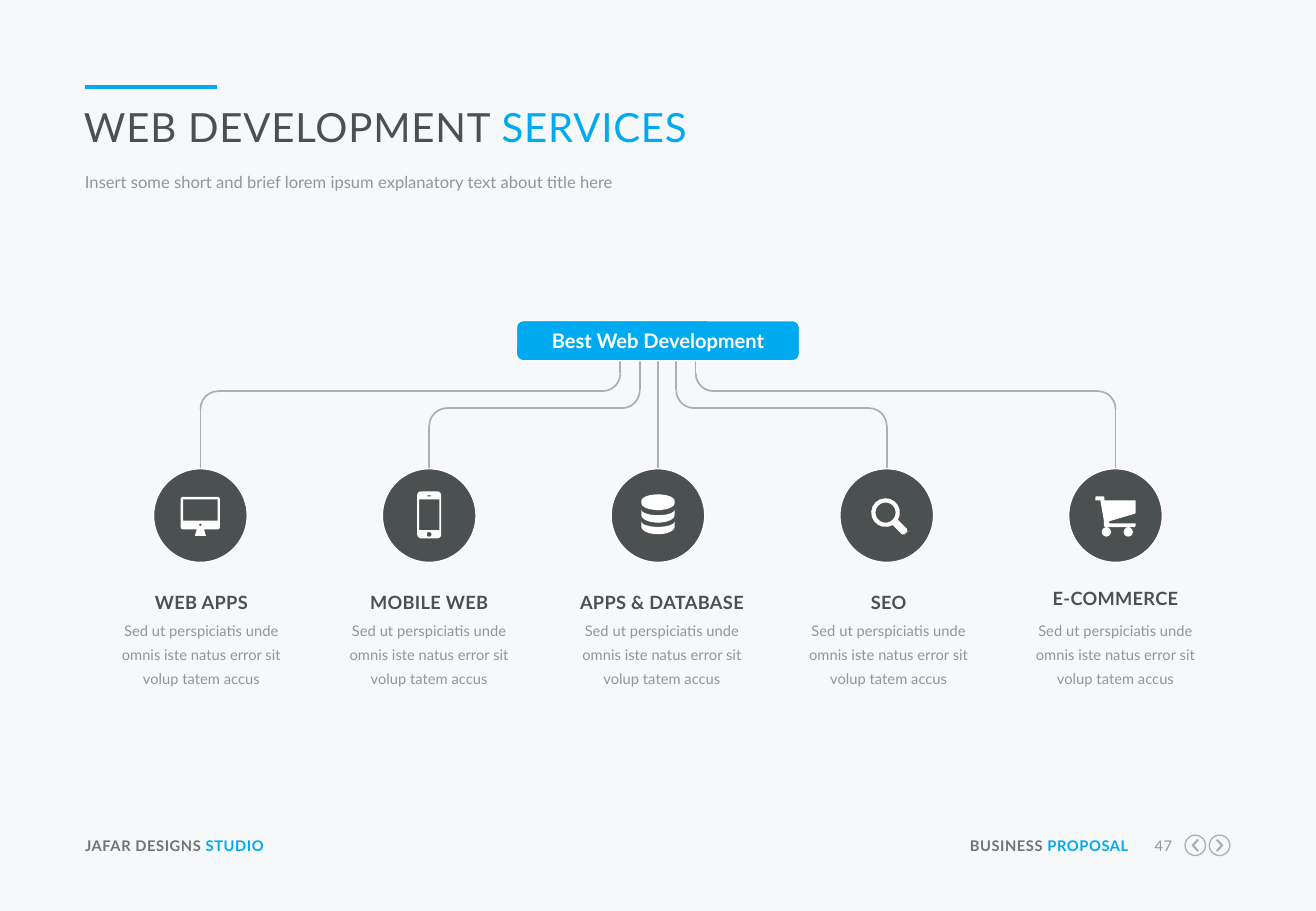
"""Build the web development services slide on a grid of 130 columns by 90 rows."""
from dataclasses import dataclass
from math import cos, radians, sin

from lxml import etree
from pptx import Presentation
from pptx.dml.color import RGBColor
from pptx.enum.shapes import MSO_CONNECTOR, MSO_SHAPE
from pptx.enum.text import MSO_ANCHOR, PP_ALIGN
from pptx.oxml.ns import qn
from pptx.shapes.autoshape import Shape
from pptx.slide import Slide
from pptx.text.text import TextFrame
from pptx.util import Emu, Pt

Point = tuple[float, float]
Contour = list[Point]

STRAIGHT = MSO_CONNECTOR.STRAIGHT
ARC, ELLIPSE, ROUNDED = MSO_SHAPE.ARC, MSO_SHAPE.OVAL, MSO_SHAPE.ROUNDED_RECTANGLE
LEFT, CENTER, RIGHT = PP_ALIGN.LEFT, PP_ALIGN.CENTER, PP_ALIGN.RIGHT
MIDDLE = MSO_ANCHOR.MIDDLE

COLUMNS, ROWS, CELL = 130, 90, 76200
COLORS = {
    "background": "F6F8FA", "accent": "00AAF0", "dark": "4B5050", "footer": "6E7378",
    "muted": "91969B", "line": "AAAFB4", "white": "FFFFFF",
}
MIDDLE_COLUMN, SERVICE_STEP = 65, 22.6
BUTTON_TOP, BUTTON_WIDTH, BUTTON_HEIGHT = 31.68, 27.96, 3.96
BRANCH_TOP = BUTTON_TOP + BUTTON_HEIGHT
DISC_TOP, DISC_SIZE = 46.32, 9.24
BEND = 1.75
TEXT_WIDTH = 18.84
NAVIGATION_ROW = 83.52
DESCRIPTION = "Sed ut perspiciatis unde omnis iste natus error sit volup tatem accus"


@dataclass
class TextStyle:
    size: float
    color: str
    bold: bool = False
    tracking: float = 0
    align: PP_ALIGN = LEFT
    line: float | None = None


@dataclass
class Service:
    title: str
    icon: list[Contour]
    text_shift: float = 0
    title_row: float = 58.08


@dataclass
class Branch:
    side: int
    stub: float
    bus_row: float
    steps: int


def cells(value: float) -> Emu:
    return Emu(round(value * CELL))


def color(name: str) -> RGBColor:
    return RGBColor.from_string(COLORS[name])


def arc(x: float, y: float, radius_x: float, radius_y: float,
        start: int = 0, end: int = 360, turn: int = 20) -> Contour:
    steps = round(abs(end - start) / turn)
    angles = [radians(start + (end - start) * step / steps) for step in range(steps + 1)]
    return [(x + radius_x * cos(angle), y + radius_y * sin(angle)) for angle in angles]


def dot(x: float, y: float, radius: float) -> Contour:
    return arc(x, y, radius, radius, turn=30)


def box(x: float, y: float, width: float, height: float) -> Contour:
    return [(x, y), (x + width, y), (x + width, y + height), (x, y + height)]


def rounded(x: float, y: float, width: float, height: float, radius: float) -> Contour:
    corners = box(x + radius, y + radius, width - 2 * radius, height - 2 * radius)
    return [point for turn, corner in enumerate(corners)
            for point in arc(*corner, radius, radius, 90 * turn - 180, 90 * turn - 90, 30)]


def band(top: float, top_bulge: float, bottom: float, bottom_bulge: float) -> Contour:
    return arc(0, bottom, 1.65, bottom_bulge, 0, 180) + arc(0, top, 1.65, top_bulge, 180, 0)


MONITOR = [
    rounded(-1.95, -1.85, 3.87, 3.2, 0.2), box(-1.7, -1.6, 3.4, 2.1),
    dot(0, 0.9, 0.12), [(-0.35, 1.35), (0.35, 1.35), (0.55, 2), (-0.55, 2)],
]
PHONE = [
    rounded(-1.19, -2.4, 2.38, 4.66, 0.4), box(-1, -1.6, 2, 3.05),
    dot(0, 1.86, 0.24), box(-0.2, -2, 0.4, 0.1),
]
DATABASE = [band(-1.45, -0.65, -1.22, 0.68)] + [
    band(-0.58 + shift, 0.55, -0.05 + shift, 0.75) for shift in (0, 1.15)]
MAGNIFIER = [
    arc(-0.12, -0.3, 1.42, 1.42, 60, 390) + [(2, 1.3), (2.05, 1.55), (1.75, 1.85), (1.5, 1.86)],
    arc(-0.12, -0.3, 1, 1),
]
CART = [
    [(-0.54, 0.54), (1.9, -0.18), (1.98, -0.25), (1.98, -1.5), (-1.1, -1.5), (-1.1, -1.8),
     (-1.2, -1.9), (-1.95, -1.9), (-1.98, -1.75), (-1.98, -1.5), (-1.5, -1.5), (-1.14, 0.54),
     (-1.14, 1.05), (-1, 1.14), (1.9, 1.14), (1.98, 1), (1.98, 0.78), (-0.54, 0.78), (-0.7, 0.66)],
    dot(-0.9, 1.62, 0.46), dot(1.26, 1.62, 0.46),
]
CHEVRON = [(-0.36, -0.5), (-0.2, -0.64), (0.38, 0), (-0.2, 0.64), (-0.36, 0.5), (0.1, 0)]

SERVICES = [
    Service("WEB APPS", MONITOR, 0.1),
    Service("MOBILE WEB", PHONE),
    Service("APPS & DATABASE", DATABASE, 0.4),
    Service("SEO", MAGNIFIER, 0.2),
    Service("E-COMMERCE", CART, 0, 57.6),
]
BRANCHES = [Branch(side, stub, row, steps) for side in (-1, 1)
            for stub, row, steps in ((1.8, 40.32, 1), (3.72, 38.64, 2))]

TITLE = TextStyle(23.8, "dark", tracking=0.5)
SUBTITLE = TextStyle(9.8, "muted", line=13)
BUTTON = TextStyle(11.9, "white", True, align=CENTER)
HEADING = TextStyle(10.8, "dark", True, 0.2, CENTER, 15.2)
BODY = TextStyle(8.7, "muted", align=CENTER, line=14.1)
FOOTER_LEFT = TextStyle(8.7, "footer", True, 0.3)
FOOTER_RIGHT = TextStyle(8.7, "footer", True, 0.3, RIGHT)
PAGE_NUMBER = TextStyle(8.7, "muted", False, 0.3, RIGHT)


def write(frame: TextFrame, style: TextStyle, text: str, accent: str = "") -> None:
    frame.word_wrap = True
    frame.margin_left = frame.margin_right = frame.margin_top = frame.margin_bottom = 0
    paragraph = frame.paragraphs[0]
    paragraph.text = text
    paragraph.alignment = style.align
    if style.line:
        paragraph.line_spacing = Pt(style.line)
    if accent:
        paragraph.add_run().text = accent
    for run, name in zip(paragraph.runs, (style.color, "accent")):
        run.font.name, run.font.size, run.font.bold = "Lato", Pt(style.size), style.bold
        run.font.color.rgb = color(name)
        run._r.get_or_add_rPr().set("spc", str(round(style.tracking * 100)))


def add_text(slide: Slide, x: float, y: float, width: float, height: float,
             style: TextStyle, text: str, accent: str = "") -> None:
    shape = slide.shapes.add_textbox(cells(x), cells(y), cells(width), cells(height))
    write(shape.text_frame, style, text, accent)


def add_line(slide: Slide, start: Point, end: Point, name: str = "line", width: float = 1) -> None:
    connector = slide.shapes.add_connector(STRAIGHT, *map(cells, start + end))
    connector.line.color.rgb, connector.line.width = color(name), Pt(width)
    etree.SubElement(connector._element.spPr, qn("a:effectLst"))


def fill_shape(shape: Shape, name: str) -> None:
    shape.shadow.inherit = False
    shape.fill.solid()
    shape.fill.fore_color.rgb = color(name)


def add_preset(slide: Slide, kind: MSO_SHAPE, x: float, y: float, width: float, height: float,
               fill: str) -> Shape:
    shape = slide.shapes.add_shape(kind, cells(x), cells(y), cells(width), cells(height))
    fill_shape(shape, fill)
    shape.line.color.rgb, shape.line.width = color("white"), Pt(0.75)
    return shape


def add_bend(slide: Slide, x: float, y: float, rotation: int) -> None:
    bend = add_preset(slide, ARC, x - BEND, y - BEND, 2 * BEND, 2 * BEND, "line")
    bend.fill.background()
    bend.line.color.rgb, bend.line.width = color("line"), Pt(1)
    bend.rotation = rotation


def add_icon(slide: Slide, x: float, y: float, contours: list[Contour], fill: str) -> None:
    outlines = [[(cells(x + dx), cells(y + dy)) for dx, dy in contour] for contour in contours]
    builder = slide.shapes.build_freeform(*outlines[0][0], scale=1.0)
    for index, outline in enumerate(outlines):
        if index:
            builder.move_to(*outline[0])
        builder.add_line_segments(outline[1:], close=True)
    shape = builder.convert_to_shape()
    fill_shape(shape, fill)
    shape.line.fill.background()


def add_branch(slide: Slide, branch: Branch) -> None:
    side, row = branch.side, branch.bus_row
    stub = MIDDLE_COLUMN + side * branch.stub
    drop = MIDDLE_COLUMN + side * branch.steps * SERVICE_STEP
    bus_start, bus_end = stub + side * BEND, drop - side * BEND
    add_line(slide, (stub, BRANCH_TOP), (stub, row - BEND))
    add_line(slide, (bus_start, row), (bus_end, row))
    add_line(slide, (drop, row + BEND), (drop, DISC_TOP))
    add_bend(slide, bus_start, row - BEND, 180 if side > 0 else 90)
    add_bend(slide, bus_end, row + BEND, 0 if side > 0 else 270)


def add_service(slide: Slide, index: int, service: Service) -> None:
    x = MIDDLE_COLUMN + (index - 2) * SERVICE_STEP
    radius = DISC_SIZE / 2
    add_preset(slide, ELLIPSE, x - radius, DISC_TOP, DISC_SIZE, DISC_SIZE, "dark")
    add_icon(slide, x, DISC_TOP + radius, service.icon, "white")
    left = x + service.text_shift - TEXT_WIDTH / 2
    add_text(slide, left, service.title_row, TEXT_WIDTH, 2.52, HEADING, service.title)
    add_text(slide, left, 60.84, TEXT_WIDTH, 7.08, BODY, DESCRIPTION)


def add_frame(slide: Slide) -> None:
    add_line(slide, (8.4, 8.6), (21.44, 8.6), "accent", 2.25)
    add_text(slide, 8.3, 10.08, 113, 4.92, TITLE, "WEB DEVELOPMENT ", "SERVICES")
    add_text(slide, 8.4, 16.8, 113, 2.52, SUBTITLE,
             "Insert some short and brief lorem ipsum explanatory text about title here")
    add_text(slide, 8.4, 82.68, 25.32, 1.8, FOOTER_LEFT, "JAFAR DESIGNS ", "STUDIO")
    add_text(slide, 95.04, 82.68, 16.44, 1.8, FOOTER_RIGHT, "BUSINESS ", "PROPOSAL")
    add_text(slide, 112.8, 82.68, 3, 1.8, PAGE_NUMBER, "47")
    for x, direction in ((118.08, -1), (120.48, 1)):
        chevron = [(direction * dx, dy) for dx, dy in CHEVRON]
        rings = [arc(0, 0, radius, radius) for radius in (1.08, 0.95)]
        add_icon(slide, x, NAVIGATION_ROW, rings + [chevron], "line")


def main() -> None:
    presentation = Presentation()
    presentation.slide_width, presentation.slide_height = cells(COLUMNS), cells(ROWS)
    slide = presentation.slides.add_slide(presentation.slide_layouts[6])
    slide.background.fill.solid()
    slide.background.fill.fore_color.rgb = color("background")
    add_frame(slide)
    add_line(slide, (MIDDLE_COLUMN, BRANCH_TOP), (MIDDLE_COLUMN, DISC_TOP))
    for branch in BRANCHES:
        add_branch(slide, branch)
    button = add_preset(slide, ROUNDED, MIDDLE_COLUMN - BUTTON_WIDTH / 2, BUTTON_TOP,
                        BUTTON_WIDTH, BUTTON_HEIGHT, "accent")
    button.text_frame.vertical_anchor = MIDDLE
    write(button.text_frame, BUTTON, "Best Web Development")
    for index, service in enumerate(SERVICES):
        add_service(slide, index, service)
    presentation.save("out.pptx")


if __name__ == "__main__":
    main()
